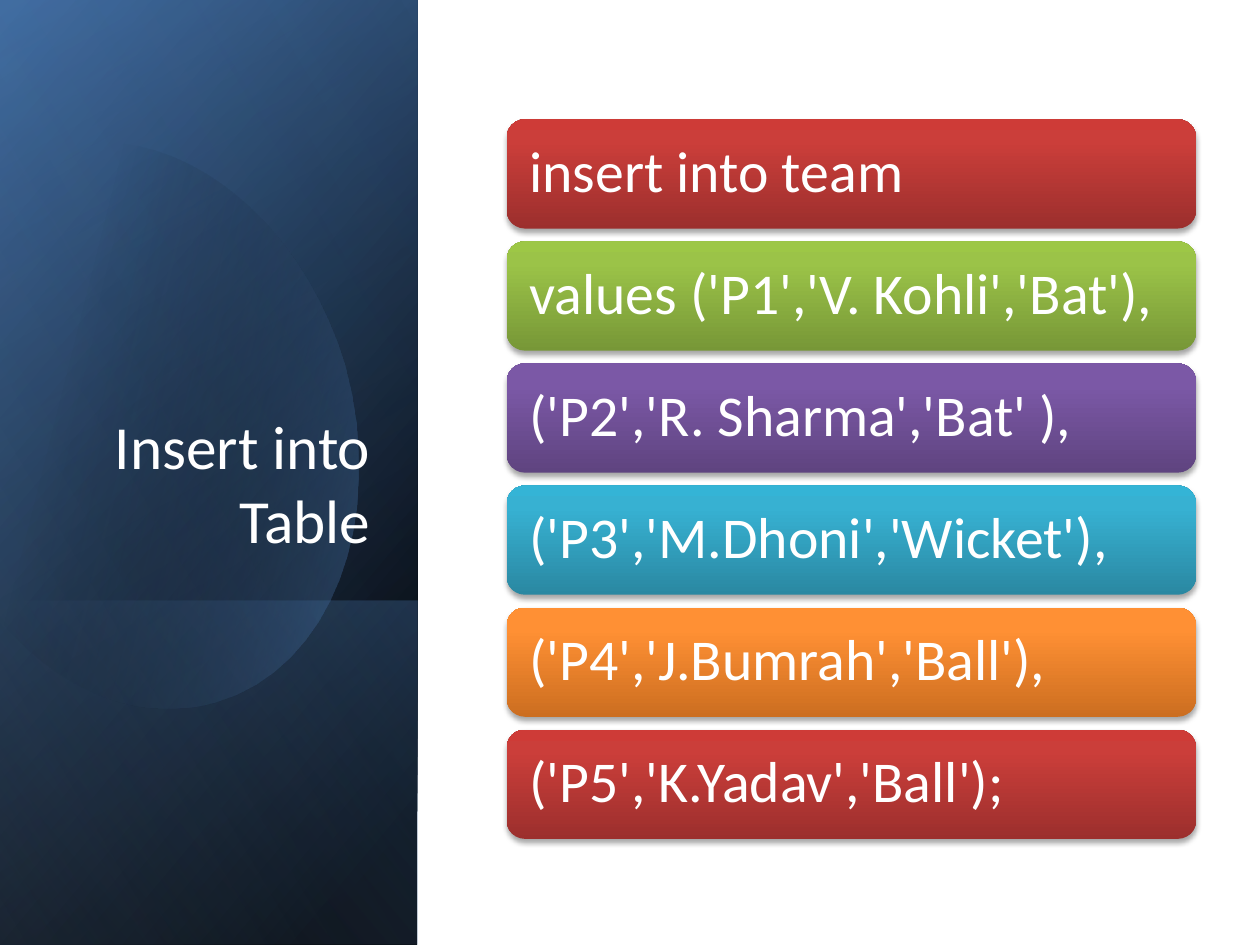
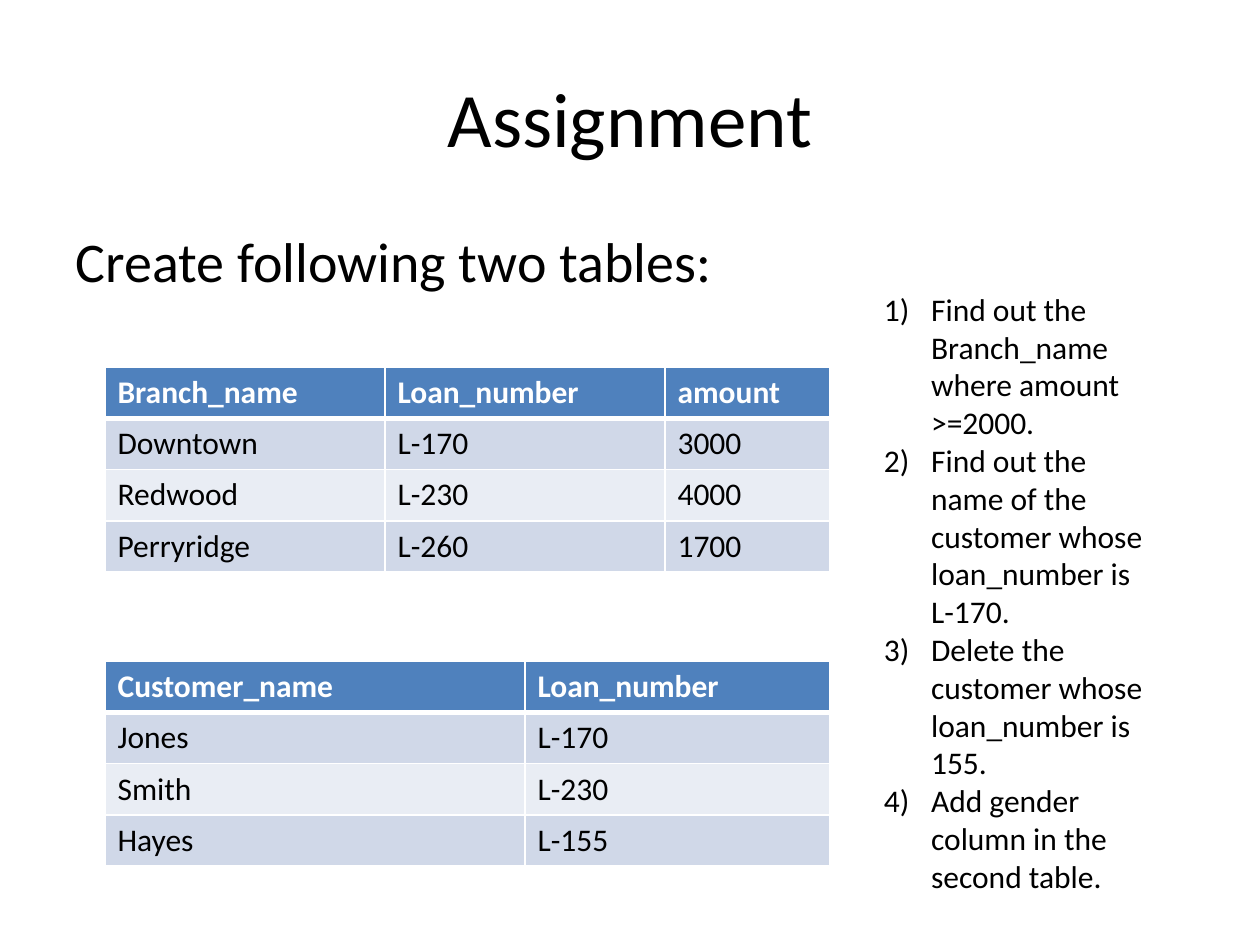
from lxml import etree
from pptx import Presentation
from pptx.dml.color import RGBColor
from pptx.enum import shapes as sh, text as tx
from pptx.oxml import ns
from pptx.util import Pt

FONT = "Calibri"
BLACK = RGBColor(0x00, 0x00, 0x00)
WHITE = RGBColor(0xFF, 0xFF, 0xFF)
NAVY = RGBColor(0x37, 0x60, 0x92)
BLUE = RGBColor(0x4F, 0x81, 0xBD)
PALE = RGBColor(0x95, 0xB3, 0xD7)
BAND = RGBColor(0xD0, 0xD8, 0xE8)
LIGHT = RGBColor(0xE9, 0xED, 0xF4)
RED = [(0, RGBColor(0x9C, 0x2F, 0x2D), 100), (80, RGBColor(0xCB, 0x3E, 0x3A), 100),
       (100, RGBColor(0xCE, 0x3B, 0x37), 100)]
GREEN = [(0, RGBColor(0x77, 0x97, 0x37), 100), (80, RGBColor(0x9B, 0xC3, 0x48), 100),
         (100, RGBColor(0x9D, 0xC7, 0x46), 100)]
PURPLE = [(0, RGBColor(0x5F, 0x44, 0x80), 100), (80, RGBColor(0x7B, 0x58, 0xA6), 100),
          (100, RGBColor(0x7C, 0x57, 0xA8), 100)]
TEAL = [(0, RGBColor(0x2A, 0x88, 0xA2), 100), (80, RGBColor(0x37, 0xB1, 0xD2), 100),
        (100, RGBColor(0x34, 0xB4, 0xD6), 100)]
ORANGE = [(0, RGBColor(0xCC, 0x6E, 0x20), 100), (80, RGBColor(0xFF, 0x90, 0x34), 100),
          (100, RGBColor(0xFF, 0x91, 0x36), 100)]


def paint(shape, stops, angle):
    shape.shadow.inherit = False
    shape.line.fill.background()
    shape.fill.gradient()
    grad = shape._element.spPr.find(ns.qn("a:gradFill"))
    for child in list(grad):
        grad.remove(child)
    group = etree.SubElement(grad, ns.qn("a:gsLst"))
    for place, color, alpha in stops:
        stop = etree.SubElement(group, ns.qn("a:gs"), pos=str(place * 1000))
        tint = etree.SubElement(stop, ns.qn("a:srgbClr"), val=str(color))
        if alpha < 100:
            etree.SubElement(tint, ns.qn("a:alpha"), val=str(alpha * 1000))
    etree.SubElement(grad, ns.qn("a:lin"), ang=str(angle * 60000), scaled="0")


def write(para, words, size, color, bold=False, align=tx.PP_ALIGN.LEFT):
    para.alignment = align
    run = para.add_run()
    run.text = words
    run.font.name = FONT
    run.font.size = Pt(size)
    run.font.bold = bold
    run.font.color.rgb = color


deck = Presentation()
deck.slide_width, deck.slide_height = Pt(720), Pt(540)

slide = deck.slides.add_slide(deck.slide_layouts[5])
WIDE = 238.5
panels = [
    (0, [(8, BLACK, 100), (100, NAVY, 100)], 220),
    (0, [(0, BLACK, 0), (99, BLUE, 46)], 240),
    (343, [(2, BLUE, 29), (100, BLACK, 30)], 140),
    (0, [(0, BLACK, 0), (99, PALE, 11)], 150),
]
curves = [
    [(69, 82), (123, 88), (176, 138), (197, 209)],
    [(197, 209), (221, 297), (189, 382), (123, 401)],
    [(123, 401), (82, 413), (38, 396), (5, 360)],
    [(5, 360), (-2, 351), (-18, 120), (-11, 111)],
    [(-11, 111), (1, 99), (18, 90), (32, 85)],
    [(32, 85), (45, 81), (57, 81), (69, 82)],
]
curves[3] = [(-2, 351), (-7, 274), (-13, 197), (-18, 120)]
dots = []
for a, b, c, d in curves:
    for step in range(17):
        t = step / 16
        dots.append([Pt((1 - t) ** 3 * a[i] + 3 * t * (1 - t) ** 2 * b[i]
                        + 3 * t * t * (1 - t) * c[i] + t ** 3 * d[i]) for i in (0, 1)])
for index, (top, stops, angle) in enumerate(panels):
    if index == 3:
        pen = slide.shapes.build_freeform(*dots[0], scale=1.0)
        pen.add_line_segments(dots[1:], close=True)
        paint(pen.convert_to_shape(), [(29, BLACK, 0), (100, BLUE, 43)], 14)
    panel = slide.shapes.add_shape(sh.MSO_SHAPE.RECTANGLE, 0, Pt(top), Pt(WIDE), Pt(540 - top))
    paint(panel, stops, angle)

title = slide.shapes.title
title.left, title.top, title.width, title.height = Pt(34.5), Pt(132.5), Pt(184.5), Pt(188.5)
slide.shapes._spTree.append(title._element)
frame = title.text_frame
frame.auto_size = tx.MSO_AUTO_SIZE.NONE
frame.vertical_anchor = tx.MSO_ANCHOR.BOTTOM
write(frame.paragraphs[0], "Insert into Table", 35, WHITE, align=tx.PP_ALIGN.RIGHT)

cards = [
    ("insert into team", RED),
    ("values ('P1','V. Kohli','Bat'),", GREEN),
    ("('P2','R. Sharma','Bat' ),", PURPLE),
    ("('P3','M.Dhoni','Wicket'),", TEAL),
    ("('P4','J.Bumrah','Ball'),", ORANGE),
    ("('P5','K.Yadav','Ball');", RED),
]
for row, (words, stops) in enumerate(cards):
    card = slide.shapes.add_shape(sh.MSO_SHAPE.ROUNDED_RECTANGLE, Pt(289.5),
                                  Pt(68.2 + 69.75 * row), Pt(394), Pt(62.4))
    paint(card, stops, 270)
    effects = card._element.spPr.find(ns.qn("a:effectLst"))
    shade = etree.SubElement(effects, ns.qn("a:outerShdw"), blurRad=str(Pt(3.1)),
                             dist=str(Pt(1.8)), dir="5400000", rotWithShape="0")
    tint = etree.SubElement(shade, ns.qn("a:srgbClr"), val=str(BLACK))
    etree.SubElement(tint, ns.qn("a:alpha"), val="35000")
    frame = card.text_frame
    frame.word_wrap = True
    frame.vertical_anchor = tx.MSO_ANCHOR.MIDDLE
    frame.margin_left = frame.margin_right = Pt(10)
    frame.margin_top = frame.margin_bottom = Pt(10)
    frame.paragraphs[0].line_spacing = 0.9
    write(frame.paragraphs[0], words, 33, WHITE)

slide = deck.slides.add_slide(deck.slide_layouts[1])
title, body = slide.shapes.title, slide.placeholders[1]
title.left, title.top, title.width, title.height = Pt(36), Pt(21.6), Pt(648), Pt(90)
title.text_frame.vertical_anchor = tx.MSO_ANCHOR.MIDDLE
write(title.text_frame.paragraphs[0], "Assignment", 44, BLACK, align=tx.PP_ALIGN.CENTER)

body.left, body.top, body.width, body.height = Pt(36), Pt(126), Pt(648), Pt(356.4)
para = body.text_frame.paragraphs[0]
props = para._p.get_or_add_pPr()
props.set("marL", "0")
props.set("indent", "0")
etree.SubElement(props, ns.qn("a:buNone"))
para.space_before = Pt(0)
write(para, "Create following two tables:", 32, BLACK)

grids = [
    (210, [160, 160, 94], [
        ["Branch_name", "Loan_number", "amount"],
        ["Downtown", "L-170", "3000"],
        ["Redwood", "L-230", "4000"],
        ["Perryridge", "L-260", "1700"]]),
    (378, [240, 174], [
        ["Customer_name", "Loan_number"],
        ["Jones", "L-170"],
        ["Smith", "L-230"],
        ["Hayes", "L-155"]]),
]
for top, widths, rows in grids:
    table = slide.shapes.add_table(len(rows), len(widths), Pt(60), Pt(top),
                                   Pt(sum(widths)), Pt(29.2 * len(rows))).table
    for col, width in zip(table.columns, widths):
        col.width = Pt(width)
    for r, row in enumerate(rows):
        table.rows[r].height = Pt(29.2)
        for c, words in enumerate(row):
            cell = table.cell(r, c)
            cell.fill.solid()
            cell.fill.fore_color.rgb = BLUE if r == 0 else BAND if r % 2 else LIGHT
            write(cell.text_frame.paragraphs[0], words, 18, BLACK if r else WHITE, r == 0)
            props = cell._tc.get_or_add_tcPr()
            for spot, side in enumerate(("lnL", "lnR", "lnT", "lnB")):
                thick = (side == "lnB" and r == 0) or (side == "lnT" and r == 1)
                edge = etree.Element(ns.qn("a:" + side), w=str(Pt(3 if thick else 1)))
                fill = etree.SubElement(edge, ns.qn("a:solidFill"))
                etree.SubElement(fill, ns.qn("a:srgbClr"), val=str(WHITE))
                props.insert(spot, edge)

tasks = [
    "Find out the Branch_name where amount >=2000.",
    "Find out the name of the customer whose loan_number is L-170.",
    "Delete the customer whose loan_number is 155.",
    "Add gender column in the second table.",
]
frame = slide.shapes.add_textbox(Pt(498), Pt(162), Pt(174), Pt(356.4)).text_frame
frame.word_wrap = True
for index, task in enumerate(tasks):
    para = frame.add_paragraph() if index else frame.paragraphs[0]
    props = para._p.get_or_add_pPr()
    props.set("marL", str(Pt(27)))
    props.set("indent", str(-Pt(27)))
    etree.SubElement(props, ns.qn("a:buFont"), typeface="+mj-lt")
    etree.SubElement(props, ns.qn("a:buAutoNum"), type="arabicParenR")
    write(para, task, 18, BLACK)

deck.save("out.pptx")
